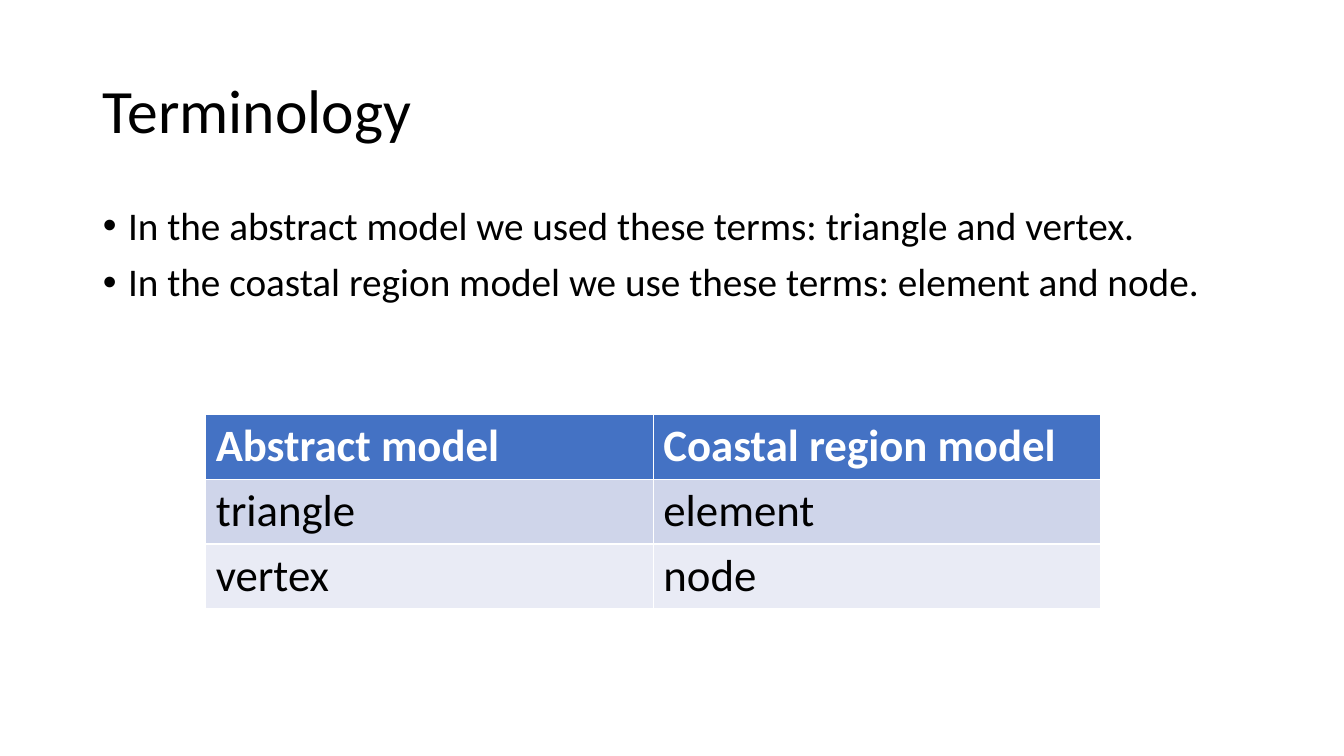
"""Build the Terminology slide with its list and table of matching terms."""
import dataclasses

import pptx
import pptx.dml.color
import pptx.enum.text
import pptx.util

Inches = pptx.util.Inches
Pt = pptx.util.Pt


@dataclasses.dataclass(frozen=True)
class Theme:
    """Fonts, type sizes and colours of the slide."""
    font: str = "Calibri"
    title_size: int = 44
    body_size: int = 28
    table_size: int = 32
    text: str = "000000"
    header_text: str = "FFFFFF"
    header_fill: str = "4472C4"
    band_fills: tuple = ("CFD5EA", "E9EBF5")


THEME = Theme()
STATEMENTS = [
    "In the abstract model we used these terms: triangle and vertex.",
    "In the coastal region model we use these terms: element and node.",
]
TERMS = [
    ("Abstract model", "Coastal region model"),
    ("triangle", "element"),
    ("vertex", "node"),
]


def apply_format(target, values):
    """Set each attribute named in values on target."""
    for attribute, value in values.items():
        setattr(target, attribute, value)


def style_font(font, size, color, bold=False):
    """Give a font the theme face, a size, a colour and a weight."""
    apply_format(font, {"name": THEME.font, "size": Pt(size), "bold": bold})
    font.color.rgb = pptx.dml.color.RGBColor.from_string(color)


def place(placeholder, left, top, width, height, anchor):
    """Move a placeholder and fix how its text sits."""
    apply_format(placeholder, {
        "left": Inches(left), "top": Inches(top),
        "width": Inches(width), "height": Inches(height),
    })
    apply_format(placeholder.text_frame, {
        "word_wrap": True,
        "auto_size": pptx.enum.text.MSO_AUTO_SIZE.NONE,
        "vertical_anchor": anchor,
    })


def write_paragraph(paragraph, text, size, space_before=0):
    """Write one left-aligned paragraph in the theme's text colour."""
    paragraph.text = text
    apply_format(paragraph, {
        "alignment": pptx.enum.text.PP_ALIGN.LEFT,
        "line_spacing": 0.9,
        "space_before": Pt(space_before),
    })
    style_font(paragraph.font, size, THEME.text)


def fill_title(title, text):
    """Place and write the slide title."""
    place(title, 0.92, 0.4, 11.5, 1.45, pptx.enum.text.MSO_ANCHOR.MIDDLE)
    write_paragraph(title.text_frame.paragraphs[0], text, THEME.title_size)


def fill_list(body, statements):
    """Place the body and write its bulleted statements."""
    place(body, 0.92, 2, 11.5, 1.4, pptx.enum.text.MSO_ANCHOR.TOP)
    frame = body.text_frame
    for index, statement in enumerate(statements):
        paragraph = frame.add_paragraph() if index else frame.paragraphs[0]
        properties = paragraph._p.get_or_add_pPr()
        properties.set("marL", str(Inches(0.25)))
        properties.set("indent", str(Inches(-0.25)))
        write_paragraph(paragraph, statement, THEME.body_size, 10 if index else 0)


def add_terms_table(slide, rows):
    """Add the table that pairs the terms of both models."""
    table = slide.shapes.add_table(
        len(rows), len(rows[0]),
        Inches(2.04), Inches(4.11), Inches(8.88), Inches(1.92),
    ).table
    for row_index, row in enumerate(rows):
        is_header = row_index == 0
        band = THEME.band_fills[(row_index - 1) % len(THEME.band_fills)]
        fill = THEME.header_fill if is_header else band
        color = THEME.header_text if is_header else THEME.text
        for column_index, term in enumerate(row):
            cell = table.cell(row_index, column_index)
            cell.text = term
            cell.fill.solid()
            cell.fill.fore_color.rgb = pptx.dml.color.RGBColor.from_string(fill)
            run = cell.text_frame.paragraphs[0].runs[0]
            style_font(run.font, THEME.table_size, color, is_header)


def main():
    """Build and save the slide."""
    presentation = pptx.Presentation()
    apply_format(presentation, {
        "slide_width": Inches(13.33), "slide_height": Inches(7.5),
    })
    slide = presentation.slides.add_slide(presentation.slide_layouts[1])
    fill_title(slide.shapes.title, "Terminology")
    fill_list(slide.placeholders[1], STATEMENTS)
    add_terms_table(slide, TERMS)
    presentation.save("out.pptx")


if __name__ == "__main__":
    main()
